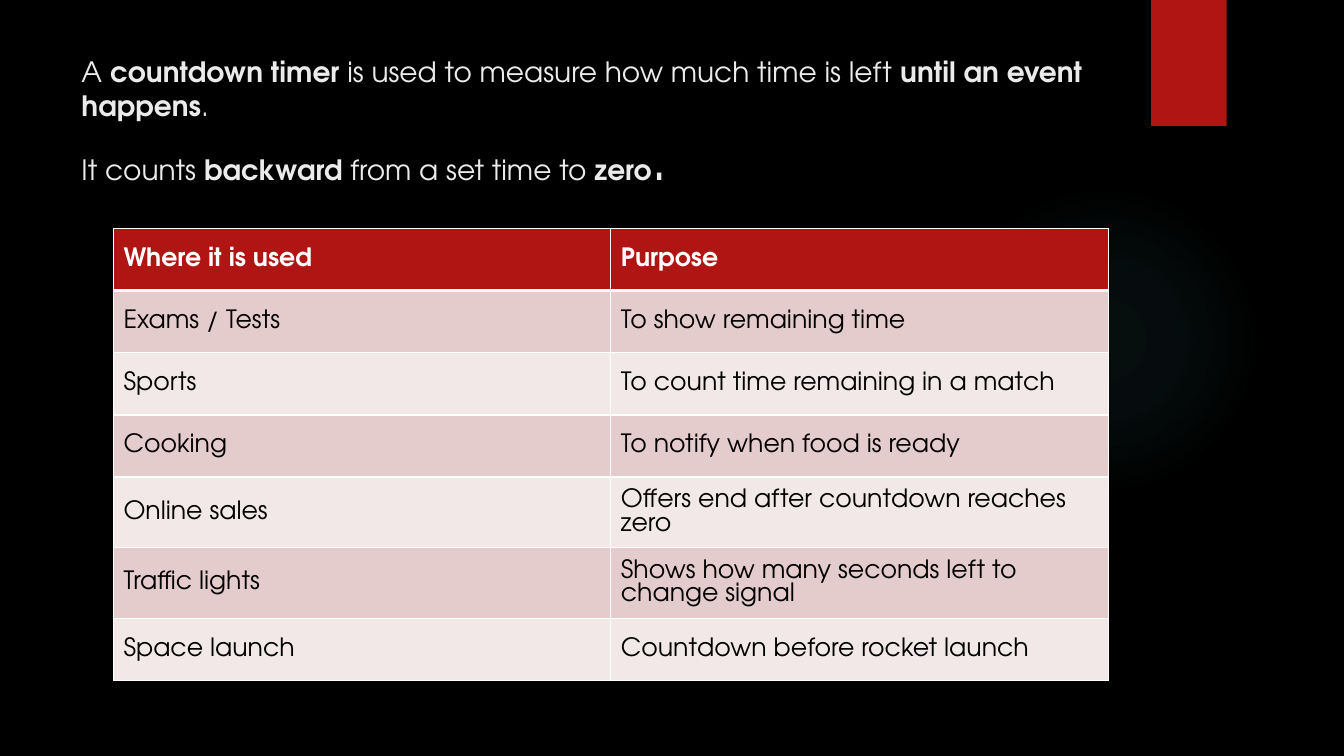
"""Builds a slide explaining what a countdown timer is and where it is used."""
import pptx
import pptx.dml.color
import pptx.enum.shapes
import pptx.enum.text
import pptx.oxml
import pptx.oxml.ns
import pptx.util

THEME = {
    "font": "TeX Gyre Adventor", "title": 20, "stop": 42, "cell": 18,
    "back": "000000", "accent": "B01513", "glow": "50B9C1", "light": "EBEBEB",
    "white": "FFFFFF", "black": "000000", "bands": ["F2E8E7", "E4CCCC"],
}
RGB = pptx.dml.color.RGBColor.from_string
SHAPE = pptx.enum.shapes.MSO_SHAPE
ANCHOR = pptx.enum.text.MSO_ANCHOR
NS = pptx.oxml.ns.nsdecls("a")

prs = pptx.Presentation()
prs.slide_width = pptx.util.Inches(13.33)
prs.slide_height = pptx.util.Inches(7.5)
UNIT = prs.slide_height / 90


def grid(*cells):
    """Turns columns and rows of a 160 by 90 grid into lengths."""
    return [round(c * UNIT) for c in cells]


def add_run(p, text, size, color, bold=False):
    """Adds one styled run to a paragraph."""
    r = p.add_run()
    r.text = text
    r.font.name = THEME["font"]
    r.font.size = pptx.util.Pt(size)
    r.font.bold = bold
    r.font.color.rgb = RGB(color)


s = prs.slides.add_slide(prs.slide_layouts[6])
s.background.fill.solid()
s.background.fill.fore_color.rgb = RGB(THEME["back"])

glow = s.shapes.add_shape(SHAPE.OVAL, *grid(112.92, 21.96, 36.96, 36.96))
ribbon = s.shapes.add_shape(SHAPE.RECTANGLE, *grid(137, 0, 9, 15))
for sp in (glow, ribbon):
    sp.shadow.inherit = False
    sp.line.fill.background()
ribbon.fill.solid()
ribbon.fill.fore_color.rgb = RGB(THEME["accent"])

stops = "".join(
    f'<a:gs pos="{pos * 1000}"><a:srgbClr val="{THEME["glow"]}">'
    f'<a:alpha val="{alpha * 1000}"/></a:srgbClr></a:gs>'
    for pos, alpha in [(0, 7), (36, 6), (69, 0), (100, 0)])
glow.element.spPr.find(pptx.oxml.ns.qn("a:prstGeom")).addnext(pptx.oxml.parse_xml(
    f'<a:gradFill {NS}><a:gsLst>{stops}</a:gsLst><a:path path="circle">'
    '<a:fillToRect l="50000" t="50000" r="50000" b="50000"/></a:path></a:gradFill>'))

tf = s.shapes.add_textbox(*grid(8.52, 5.95, 123.48, 18.36)).text_frame
tf.word_wrap = True
tf.vertical_anchor = ANCHOR.TOP
p = tf.paragraphs[0]
for text, bold in [("A ", False), ("countdown timer", True),
                   (" is used to measure how much time is left ", False),
                   ("until an event happens", True), (".", False)]:
    add_run(p, text, THEME["title"], THEME["light"], bold)
p.add_line_break()
for text, bold in [("It counts ", False), ("backward", True),
                   (" from a set time to ", False), ("zero", True)]:
    add_run(p, text, THEME["title"], THEME["light"], bold)
add_run(p, ".", THEME["stop"], THEME["light"])

ROWS = [
    ("Where it is used", "Purpose"),
    ("Exams / Tests", "To show remaining time"),
    ("Sports", "To count time remaining in a match"),
    ("Cooking", "To notify when food is ready"),
    ("Online sales", "Offers end after countdown reaches zero"),
    ("Traffic lights", "Shows how many seconds left to change signal"),
    ("Space launch", "Countdown before rocket launch"),
]
table = s.shapes.add_table(len(ROWS), 2, *grid(13.5, 27.2, 118.4, 7.4 * len(ROWS))).table
for i, row in enumerate(ROWS):
    header = i == 0
    for j, text in enumerate(row):
        cell = table.cell(i, j)
        tcPr = cell._tc.get_or_add_tcPr()
        widths = {"L": 1, "R": 1, "T": 1, "B": 3 if header else 1}
        if i == 1:
            del widths["T"]
        for side, width in widths.items():
            tcPr.append(pptx.oxml.parse_xml(
                f'<a:ln{side} {NS} w="{pptx.util.Pt(width)}"><a:solidFill>'
                f'<a:srgbClr val="{THEME["white"]}"/></a:solidFill></a:ln{side}>'))
        cell.fill.solid()
        cell.fill.fore_color.rgb = RGB(THEME["accent"] if header else THEME["bands"][i % 2])
        cell.vertical_anchor = ANCHOR.MIDDLE
        p = cell.text_frame.paragraphs[0]
        add_run(p, text, THEME["cell"], THEME["white" if header else "black"], header)

prs.save("out.pptx")
